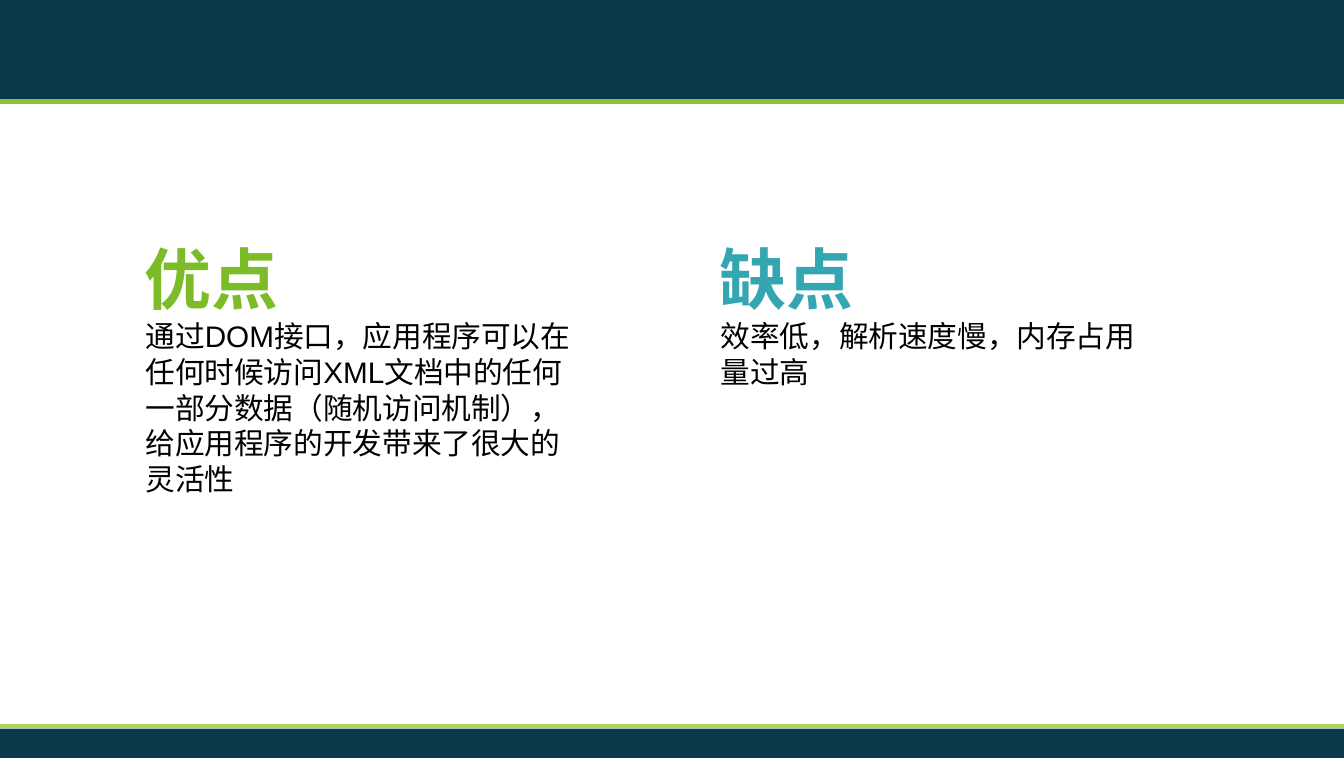
from dataclasses import dataclass

from lxml.etree import SubElement
from pptx import Presentation
from pptx.dml.color import RGBColor
from pptx.enum.shapes import MSO_CONNECTOR as Connector
from pptx.enum.shapes import MSO_SHAPE as Shape
from pptx.enum.text import MSO_AUTO_SIZE as AutoSize
from pptx.oxml.ns import qn
from pptx.slide import Slide
from pptx.util import Emu, Pt

EMU_PER_PX = 9144  # 100 px to the inch
WIDTH, HEIGHT = 1005, 567
FONT = "Arial"

NAVY = RGBColor(0x0A, 0x3A, 0x4A)
GREEN = RGBColor(0x7B, 0xBC, 0x28)
TEAL = RGBColor(0x33, 0xA6, 0xB2)
BLACK = RGBColor(0x00, 0x00, 0x00)
TOP_RULE = RGBColor(0x88, 0xC3, 0x3A)
BOTTOM_RULE = RGBColor(0xA7, 0xD7, 0x5B)

HEADING_TOP, BODY_TOP = 173, 233
HEADING_HEIGHT = 71
TEXT_WIDTH = 353


@dataclass(frozen=True)
class Column:
    left: int
    heading: str
    color: RGBColor
    body: str
    body_height: int


@dataclass(frozen=True)
class Band:
    top: int
    height: int
    rule_y: int
    rule_color: RGBColor


COLUMNS = [
    Column(98, "优点", GREEN,
           "通过DOM接口，应用程序可以在任何时候访问XML文档中的任何一部分数据"
           "（随机访问机制），给应用程序的开发带来了很大的灵活性", 145),
    Column(528, "缺点", TEAL, "效率低，解析速度慢，内存占用量过高", 64),
]
BANDS = [
    Band(0, 75, 76, TOP_RULE),
    Band(545, 22, 543, BOTTOM_RULE),
]


def px(length: int) -> Emu:
    return Emu(length * EMU_PER_PX)


def add_text(slide: Slide, text: str, *, left: int, top: int, width: int,
             height: int, size: int, color: RGBColor, bold: bool = False) -> None:
    box = slide.shapes.add_textbox(px(left), px(top), px(width), px(height))
    frame = box.text_frame
    frame.word_wrap = True
    frame.auto_size = AutoSize.SHAPE_TO_FIT_TEXT
    run = frame.paragraphs[0].add_run()
    run.text = text
    font = run.font
    font.name, font.size, font.bold = FONT, Pt(size), bold
    font.color.rgb = color
    # Chinese characters take their typeface from the East Asian font
    SubElement(font._element, qn("a:ea")).set("typeface", FONT)


def add_column(slide: Slide, column: Column) -> None:
    add_text(slide, column.heading, left=column.left, top=HEADING_TOP,
             width=TEXT_WIDTH, height=HEADING_HEIGHT, size=36,
             color=column.color, bold=True)
    add_text(slide, column.body, left=column.left + 1, top=BODY_TOP,
             width=TEXT_WIDTH - 1, height=column.body_height, size=16,
             color=BLACK)


def add_band(slide: Slide, band: Band) -> None:
    """Draw a full-width bar and the coloured rule along its inner edge."""
    bar = slide.shapes.add_shape(Shape.RECTANGLE, px(0), px(band.top),
                                 px(WIDTH), px(band.height))
    bar.shadow.inherit = False
    bar.fill.solid()
    bar.fill.fore_color.rgb = NAVY
    bar.line.fill.background()

    rule = slide.shapes.add_connector(Connector.STRAIGHT, px(0), px(band.rule_y),
                                      px(WIDTH), px(band.rule_y))
    rule.line.color.rgb = band.rule_color
    rule.line.width = Pt(2.5)
    SubElement(rule._element.spPr, qn("a:effectLst"))


def main() -> None:
    presentation = Presentation()
    presentation.slide_width, presentation.slide_height = px(WIDTH), px(HEIGHT)
    blank_layout = presentation.slide_layouts.get_by_name("Blank")
    slide = presentation.slides.add_slide(blank_layout)
    for column in COLUMNS:
        add_column(slide, column)
    for band in BANDS:
        add_band(slide, band)
    presentation.save("out.pptx")


if __name__ == "__main__":
    main()
